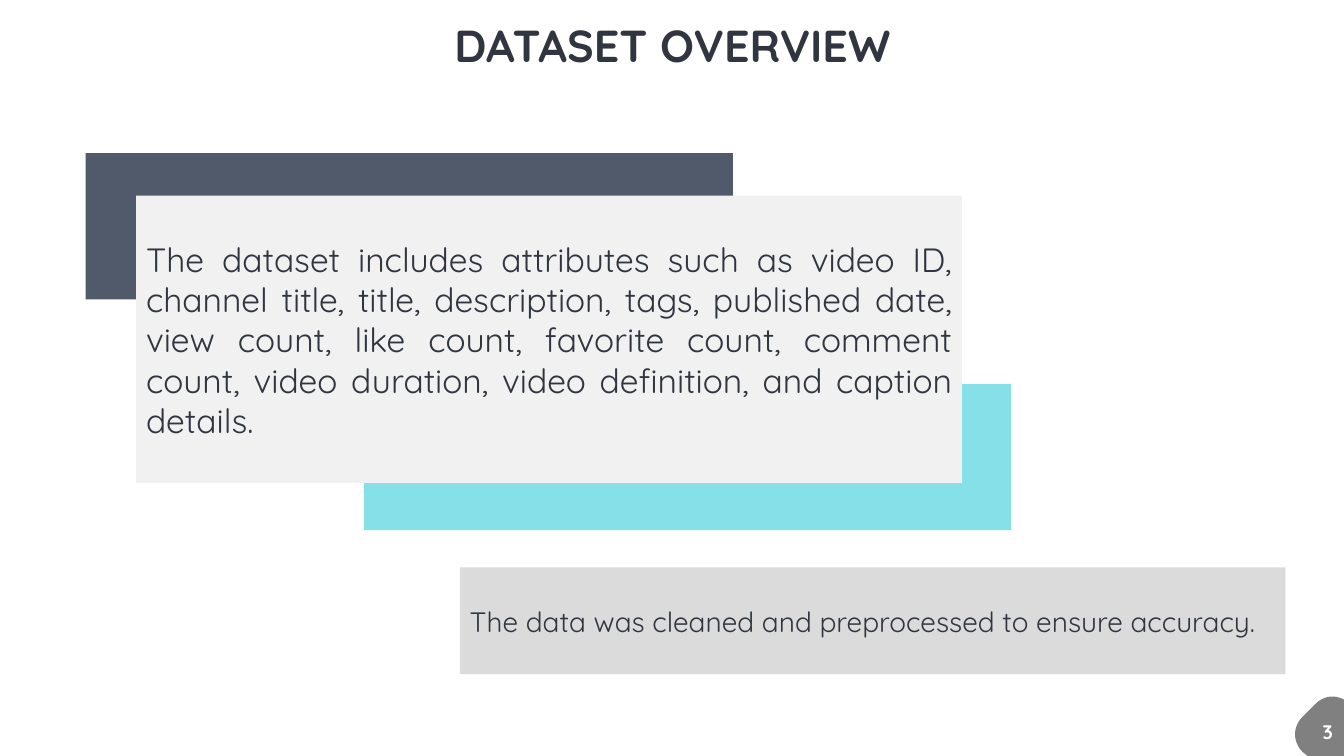
from dataclasses import dataclass

from pptx import Presentation
from pptx.dml.color import RGBColor
from pptx.enum.shapes import MSO_SHAPE
from pptx.enum.text import MSO_ANCHOR, MSO_AUTO_SIZE, PP_ALIGN
from pptx.util import Emu, Pt

EMU_PER_PX = 9144  # 100 px to the inch
CURVE_STEPS = 12


@dataclass(frozen=True)
class Theme:
    font: str = "Quicksand"
    ink: str = "30353F"
    white: str = "FFFFFF"
    light_panel: str = "F1F1F1"
    grey_panel: str = "DBDBDB"
    navy: str = "515A6B"
    cyan: str = "85E0E7"
    badge: str = "808080"
    title_size: int = 32
    lead_size: int = 24
    note_size: int = 20
    number_size: int = 14


def px(length):
    return Emu(length * EMU_PER_PX)


def set_all(target, values):
    for name, value in values.items():
        setattr(target, name, value)


def bezier(start, control_1, control_2, end):
    """Points along a cubic curve, without its start."""
    points = []
    for step in range(1, CURVE_STEPS + 1):
        t = step / CURVE_STEPS
        weights = ((1 - t) ** 3, 3 * t * (1 - t) ** 2, 3 * t * t * (1 - t), t ** 3)
        corners = (start, control_1, control_2, end)
        points.append(tuple(
            sum(weight * corner[axis] for weight, corner in zip(weights, corners))
            for axis in (0, 1)))
    return points


class SlideBuilder:
    def __init__(self, slide, theme):
        self.slide = slide
        self.theme = theme

    def add_text(self, shape, text, size, color, align, frame, bold=False):
        text_frame = shape.text_frame
        set_all(text_frame, {"auto_size": MSO_AUTO_SIZE.NONE, **frame})
        paragraph = text_frame.paragraphs[0]
        paragraph.alignment = align
        run = paragraph.add_run()
        run.text = text
        set_all(run.font, {"name": self.theme.font, "size": Pt(size), "bold": bold})
        run.font.color.rgb = RGBColor.from_string(color)

    def paint(self, shape, color):
        shape.shadow.inherit = False
        shape.fill.solid()
        shape.fill.fore_color.rgb = RGBColor.from_string(color)
        shape.line.fill.background()

    def title(self, text, left, top, width, height):
        shape = self.slide.shapes.title
        set_all(shape, {"left": px(left), "top": px(top),
                        "width": px(width), "height": px(height)})
        frame = {"word_wrap": False, "vertical_anchor": MSO_ANCHOR.TOP,
                 "margin_left": 0, "margin_right": 0,
                 "margin_top": 0, "margin_bottom": 0}
        self.add_text(shape, text, self.theme.title_size, self.theme.ink,
                      PP_ALIGN.CENTER, frame, bold=True)

    def panel(self, left, top, width, height, color, text=None, size=None):
        shape = self.slide.shapes.add_shape(
            MSO_SHAPE.RECTANGLE, px(left), px(top), px(width), px(height))
        self.paint(shape, color)
        if text:
            frame = {"word_wrap": True, "vertical_anchor": MSO_ANCHOR.MIDDLE}
            self.add_text(shape, text, size, self.theme.ink, PP_ALIGN.JUSTIFY, frame)

    def outline(self, points, color):
        fine = 10  # sub-pixel units keep the curves smooth
        scaled = [(round(x * fine), round(y * fine)) for x, y in points]
        builder = self.slide.shapes.build_freeform(*scaled[0], scale=EMU_PER_PX / fine)
        builder.add_line_segments(scaled[1:], close=True)
        self.paint(builder.convert_to_shape(), color)

    def page_number(self, text, left, top, width, height):
        shape = self.slide.shapes.add_textbox(px(left), px(top), px(width), px(height))
        self.add_text(shape, text, self.theme.number_size, self.theme.white,
                      PP_ALIGN.LEFT, {"word_wrap": False}, bold=True)


def main():
    theme = Theme()
    presentation = Presentation()
    set_all(presentation, {"slide_width": px(1333), "slide_height": px(750)})
    slide = presentation.slides.add_slide(presentation.slide_layouts[5])
    builder = SlideBuilder(slide, theme)

    # Title
    builder.title("DATASET OVERVIEW", 450, 18, 434, 54)

    # Corner badge with the page number
    badge = [(1322, 691), *bezier((1322, 691), (1325, 691), (1328, 692), (1331, 693)),
             (1333, 694), (1333, 750), (1297, 750), (1292, 746),
             *bezier((1292, 746), (1282, 736), (1282, 721), (1292, 711)), (1304, 699),
             *bezier((1304, 699), (1309, 694), (1315, 691), (1322, 691))]
    builder.outline(badge, theme.badge)
    builder.page_number("3", 1302, 709, 32, 34)

    # Note on cleaning
    builder.panel(456, 563, 819, 106, theme.grey_panel,
                  "The data was cleaned and preprocessed to ensure accuracy.",
                  theme.note_size)

    # Attribute panel over its two accent blocks
    for left, top, color in ((361, 381, theme.cyan), (85, 152, theme.navy)):
        builder.panel(left, top, 642, 145, color)
    builder.panel(135, 194, 819, 285, theme.light_panel,
                  "The dataset includes attributes such as video ID, channel title, "
                  "title, description, tags, published date, view count, like count, "
                  "favorite count, comment count, video duration, video definition, "
                  "and caption details.",
                  theme.lead_size)

    presentation.save("out.pptx")


if __name__ == "__main__":
    main()
